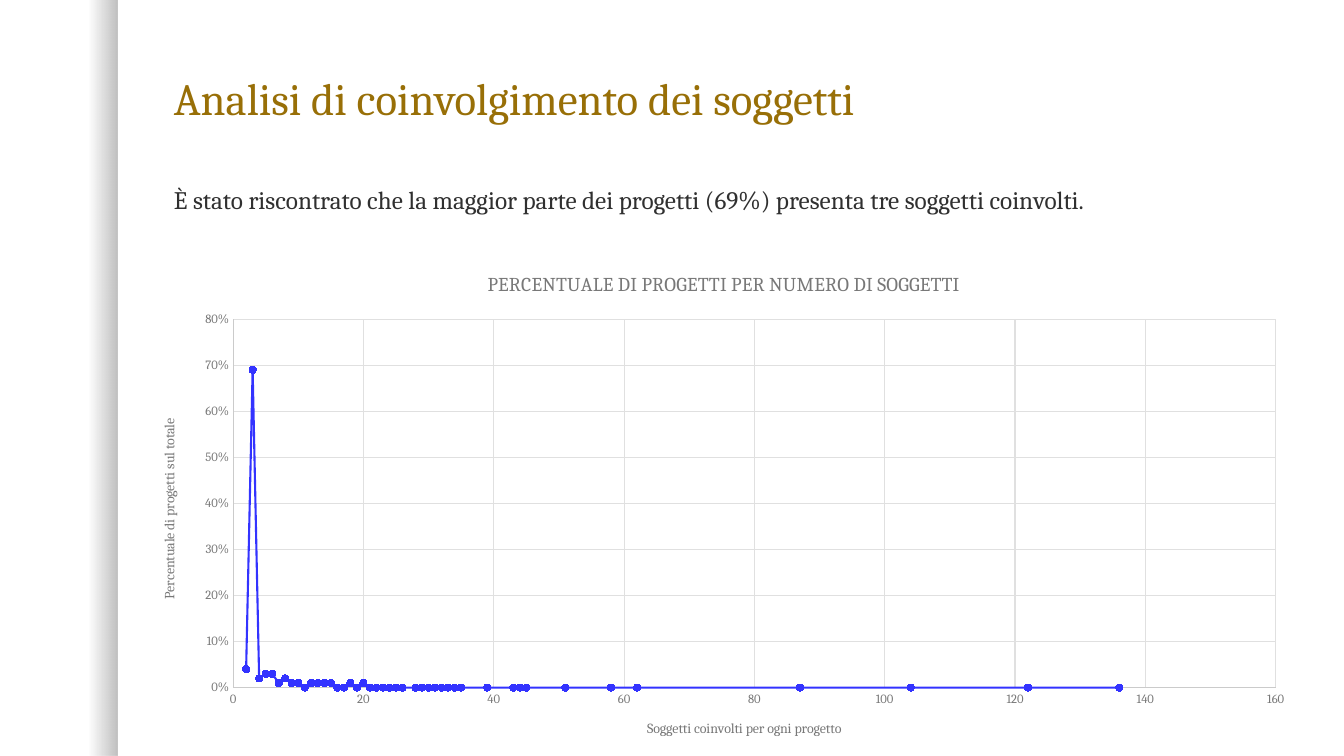
from dataclasses import dataclass
from typing import Any

from lxml.etree import SubElement
from pptx import Presentation
from pptx.chart.data import XyChartData
from pptx.dml.color import RGBColor
from pptx.enum.chart import XL_CHART_TYPE as ChartType, XL_MARKER_STYLE as Marker, XL_TICK_MARK as Tick
from pptx.enum.shapes import MSO_SHAPE as Shape
from pptx.enum.text import MSO_ANCHOR as Anchor, MSO_AUTO_SIZE as AutoSize, PP_ALIGN as Align
from pptx.oxml import parse_xml
from pptx.oxml.ns import nsdecls, qn
from pptx.util import Pt

PX = 9525  # 96 px to the inch
FONT = "Cambria"
GREY, AXIS, GRID, BLUE = "787878", "CBCBCB", "E0E0E0", "3333FF"

SUBJECTS = [*range(2, 27), *range(28, 36), 39, 43, 44, 45, 51, 58, 62, 87, 104, 122, 136]
FIRST_SHARES = [0.04, 0.69, 0.02, 0.03, 0.03, 0.01, 0.02, 0.01, 0.01, 0,
                0.01, 0.01, 0.01, 0.01, 0, 0, 0.01, 0, 0.01]
SHARES = FIRST_SHARES + [0] * (len(SUBJECTS) - len(FIRST_SHARES))


@dataclass
class Box:
    x: int
    y: int
    w: int
    h: int

    def emu(self) -> tuple[int, ...]:
        return tuple(v * PX for v in (self.x, self.y, self.w, self.h))


@dataclass
class TextItem:
    holder: int
    box: Box
    text: str
    size: int
    color: str
    anchor: Any


@dataclass
class AxisItem:
    title: str
    x: int
    y: int
    top: float
    step: float
    number_format: str


TEXTS = [
    TextItem(0, Box(156, 62, 862, 62), "Analisi di coinvolgimento dei soggetti",
             32, "986F07", Anchor.MIDDLE),
    TextItem(1, Box(156, 171, 975, 39),
             "È stato riscontrato che la maggior parte dei progetti (69%) presenta tre soggetti coinvolti.",
             18, "303030", Anchor.TOP),
]
CHART = Box(133, 241, 1112, 481)
X_AXIS = AxisItem("Soggetti coinvolti per ogni progetto", 481, 442, 160, 20, "0")
Y_AXIS = AxisItem("Percentuale di progetti sul totale", 17, 155, 0.8, 0.1, "0%")


def rgb(color: str) -> RGBColor:
    return RGBColor.from_string(color)


def set_font(font: Any, size: int, color: str) -> None:
    for name, value in {"name": FONT, "size": Pt(size), "bold": False}.items():
        setattr(font, name, value)
    font.color.rgb = rgb(color)


def set_line(line: Any, color: str, width: float) -> None:
    line.color.rgb = rgb(color)
    line.width = Pt(width)


def fill_placeholder(s: Any, item: TextItem) -> None:
    sp = s.placeholders[item.holder]
    sp.left, sp.top, sp.width, sp.height = item.box.emu()
    tf = sp.text_frame
    for name, value in {"word_wrap": True, "auto_size": AutoSize.NONE,
                        "vertical_anchor": item.anchor}.items():
        setattr(tf, name, value)
    p = tf.paragraphs[0]
    p.alignment = Align.LEFT
    p.space_before = Pt(0)
    pPr = p._p.get_or_add_pPr()
    pPr.set("marL", "0")
    pPr.set("indent", "0")
    SubElement(pPr, qn("a:buNone"))
    r = p.add_run()
    r.text = item.text
    set_font(r.font, item.size, item.color)


def add_side_shade(s: Any) -> None:
    sp = s.shapes.add_shape(Shape.RECTANGLE, *Box(0, 0, 112, 720).emu())
    sp.shadow.inherit = False
    sp.line.fill.background()
    stops = "".join(
        f'<a:gs pos="{pos}"><a:srgbClr val="000000"><a:alpha val="{alpha}"/></a:srgbClr></a:gs>'
        for pos, alpha in ((75000, 0), (100000, 25000)))
    sp._element.spPr.find(qn("a:prstGeom")).addnext(parse_xml(
        f'<a:gradFill {nsdecls("a")} rotWithShape="1"><a:gsLst>{stops}</a:gsLst>'
        '<a:lin ang="0" scaled="0"/></a:gradFill>'))
    s.shapes._spTree.insert(2, sp._element)


def place(element: Any, **lengths: int) -> None:
    """Give a chart part a manual layout, in px from the chart's corner."""
    layout = element.find(qn("c:layout"))
    if layout is None:
        layout = element.makeelement(qn("c:layout"))
        tx = element.find(qn("c:tx"))
        element.insert(0 if tx is None else 1, layout)
    manual = SubElement(layout, qn("c:manualLayout"))
    if "w" in lengths:
        SubElement(manual, qn("c:layoutTarget"), val="inner")
    for side in "xy":
        SubElement(manual, qn(f"c:{side}Mode"), val="edge")
    for name, length in lengths.items():
        whole = CHART.w if name in "xw" else CHART.h
        SubElement(manual, qn(f"c:{name}"), val=str(length / whole))


def set_title(title: Any, text: str, size: int, x: int, y: int) -> None:
    r = title.text_frame.paragraphs[0].add_run()
    r.text = text
    set_font(r.font, size, GREY)
    place(title._element, x=x, y=y)


def format_axis(axis: Any, item: AxisItem) -> None:
    for name, value in {"minimum_scale": 0, "maximum_scale": item.top, "major_unit": item.step,
                        "major_tick_mark": Tick.NONE, "minor_tick_mark": Tick.NONE,
                        "has_major_gridlines": True}.items():
        setattr(axis, name, value)
    axis.tick_labels.number_format = item.number_format
    axis.tick_labels.number_format_is_linked = False
    set_font(axis.tick_labels.font, 9, GREY)
    set_line(axis.format.line, AXIS, 0.75)
    set_line(axis.major_gridlines.format.line, GRID, 0.75)
    set_title(axis.axis_title, item.title, 10, item.x, item.y)


def add_scatter(s: Any) -> None:
    data = XyChartData()
    points = data.add_series("Series 1")
    for subjects, share in zip(SUBJECTS, SHARES):
        points.add_data_point(subjects, share)
    chart = s.shapes.add_chart(ChartType.XY_SCATTER_LINES, *CHART.emu(), data).chart
    set_font(chart.font, 10, "303030")
    chart.has_legend = False
    set_title(chart.chart_title, "PERCENTUALE DI PROGETTI PER NUMERO DI SOGGETTI", 14, 328, 14)
    format_axis(chart.category_axis, X_AXIS)
    format_axis(chart.value_axis, Y_AXIS)
    plot = chart.plots[0]
    plot.vary_by_categories = False
    place(chart._chartSpace.chart.plotArea, x=89, y=63, w=993, h=351)
    series = plot.series[0]
    series.smooth = False
    set_line(series.format.line, BLUE, 1.5)
    marker = series.marker
    marker.style, marker.size = Marker.CIRCLE, 5
    marker.format.fill.solid()
    marker.format.fill.fore_color.rgb = rgb("3333CC")
    set_line(marker.format.line, BLUE, 0.75)


def main() -> None:
    prs = Presentation()
    prs.slide_width, prs.slide_height = 1280 * PX, 720 * PX
    s = prs.slides.add_slide(prs.slide_layouts[1])
    add_side_shade(s)
    for item in TEXTS:
        fill_placeholder(s, item)
    add_scatter(s)
    prs.save("out.pptx")


if __name__ == "__main__":
    main()
